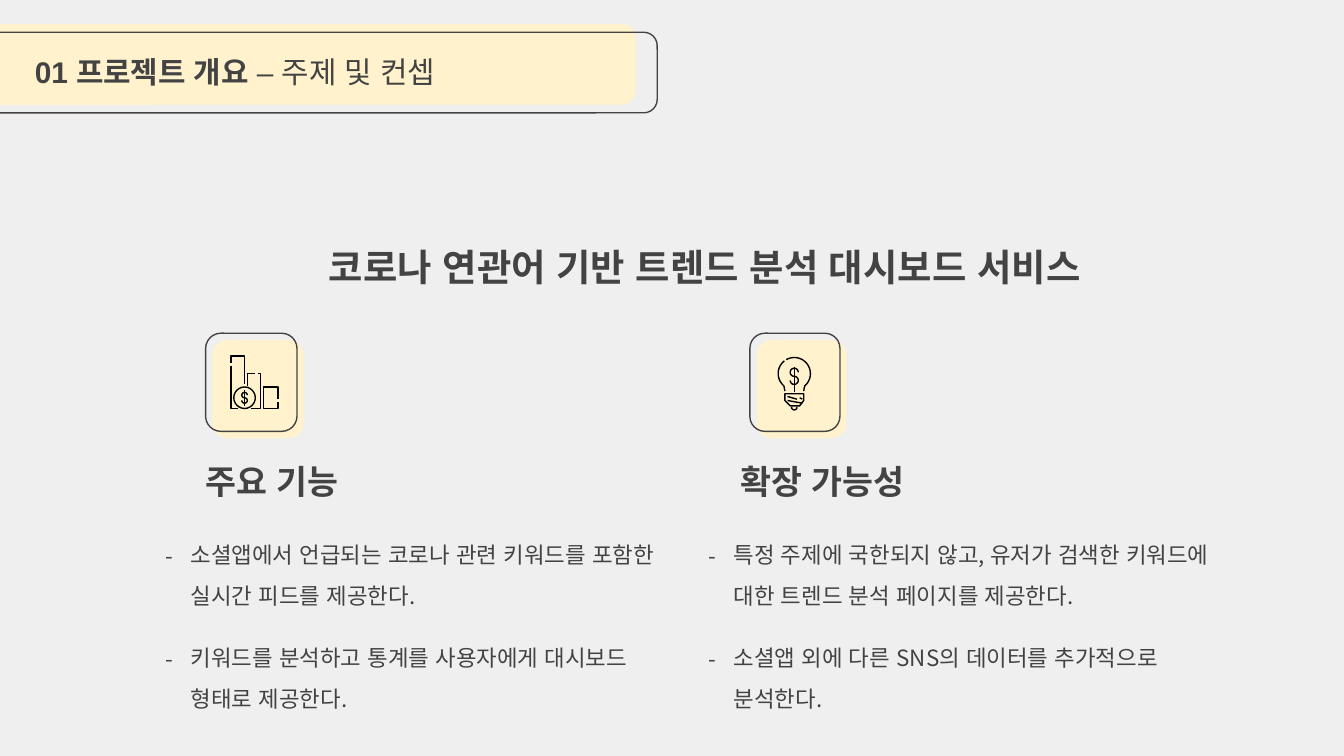
"""Builds the project overview slide: topic and concept."""
from math import cos, radians, sin

from lxml.etree import SubElement
from pptx import Presentation
from pptx.dml.color import RGBColor
from pptx.enum.shapes import MSO_SHAPE
from pptx.enum.text import MSO_ANCHOR, MSO_AUTO_SIZE, PP_ALIGN
from pptx.oxml.ns import qn
from pptx.util import Inches, Pt

INK, CREAM, BLACK = "434343", "FFF2CC", "000000"
SANS = "Noto Sans CJK KR"


def paint(shape, fill=None, line=None):
    shape.shadow.inherit = False
    for part, tone in ((shape.fill, fill), (shape.line.fill, line)):
        if tone:
            part.solid()
            part.fore_color.rgb = RGBColor.from_string(tone)
        else:
            part.background()
    if line:
        shape.line.width = Pt(0.75)


def arc(x, y, wide, high, start, end):
    turns = [radians(start + (end - start) * i / 24) for i in range(25)]
    return [(x + wide * cos(t), y + high * sin(t)) for t in turns]


deck = Presentation()
deck.slide_width = Inches(10)
deck.slide_height = Inches(10) * 9 // 16
slide = deck.slides.add_slide(deck.slide_layouts[5])
shapes = slide.shapes
slide.background.fill.solid()
slide.background.fill.fore_color.rgb = RGBColor.from_string("EFEFEF")

frames = [
    (-0.39, 0.18, 5.12, 0.6, CREAM, None),
    (-0.23, 0.24, 5.12, 0.6, None, INK),
]
for left, wide in ((1.53, 0.68), (5.58, 0.67)):
    frames.append((left + 0.05, 2.53, wide, 0.73, CREAM, None))
    frames.append((left, 2.48, wide, 0.73, None, INK))
for left, top, wide, high, fill, line in frames:
    frame = shapes.add_shape(MSO_SHAPE.ROUNDED_RECTANGLE, Inches(left),
                             Inches(top), Inches(wide), Inches(high))
    paint(frame, fill, line)

title = shapes.title
shapes._spTree.append(title._element)
title.left, title.top = Inches(0.16), Inches(0.35)
title.width, title.height = Inches(5.83), Inches(0.53)
title.text_frame.auto_size = MSO_AUTO_SIZE.NONE
title.text_frame.vertical_anchor = MSO_ANCHOR.TOP
head = title.text_frame.paragraphs[0]
head.alignment = PP_ALIGN.LEFT
for text, bold in (("01 프로젝트 개요 ", True), ("– 주제 및 컨셉", False)):
    run = head.add_run()
    run.text = text
    run.font.name, run.font.size, run.font.bold = "Arial", Pt(16), bold
    run.font.color.rgb = RGBColor.from_string(INK)

feats = ["소셜앱에서 언급되는 코로나 관련 키워드를 포함한 실시간 피드를 제공한다.",
         "키워드를 분석하고 통계를 사용자에게 대시보드 형태로 제공한다."]
plans = ["특정 주제에 국한되지 않고, 유저가 검색한 키워드에 대한 트렌드 분석 페이지를 제공한다.",
         "소셜앱 외에 다른 SNS의 데이터를 추가적으로 분석한다."]
texts = [
    (2.01, 1.72, 6.47, 0.54, ["코로나 연관어 기반 트렌드 분석 대시보드 서비스"], SANS, 20),
    (1.43, 3.41, 2.57, 0.42, ["주요 기능"], "Arial", 18),
    (5.41, 3.41, 2.54, 0.42, ["확장 가능성"], "Arial", 18),
    (1.13, 3.83, 3.88, 1.5, feats, SANS, 12),
    (5.17, 3.83, 4.17, 1.5, plans, SANS, 12),
]
for left, top, wide, high, lines, font, size in texts:
    box = shapes.add_textbox(Inches(left), Inches(top), Inches(wide), Inches(high))
    frame = box.text_frame
    frame.word_wrap = True
    frame.margin_left = frame.margin_right = Inches(0.1)
    frame.margin_top = frame.margin_bottom = Inches(0.1)
    if size == 18:
        frame.vertical_anchor = MSO_ANCHOR.BOTTOM
    frame.text = "\n".join(lines)
    for para in frame.paragraphs:
        if size == 20:
            para.alignment = PP_ALIGN.CENTER
        if size == 12:
            para.line_spacing, para.space_after = 1.5, Pt(12)
            props = para._p.get_or_add_pPr()
            props.set("marL", str(Inches(0.19)))
            props.set("indent", str(-Inches(0.19)))
            tone = SubElement(props, qn("a:buClr"))
            SubElement(tone, qn("a:srgbClr"), val=INK)
            SubElement(props, qn("a:buFont"), typeface=SANS)
            SubElement(props, qn("a:buChar"), char="-")
        para.font.name, para.font.size = font, Pt(size)
        para.font.bold = size > 12
        para.font.color.rgb = RGBColor.from_string(INK)
for props in slide._element.iter(qn("a:rPr"), qn("a:defRPr")):
    SubElement(props, qn("a:ea"), typeface="Arial")

strokes = [
    [(1.72, 2.7), (1.72, 2.65), (1.82, 2.65), (1.82, 2.86)],
    [(1.72, 2.72), (1.72, 3.04), (1.77, 3.04)],
    [(1.84, 2.87), (1.84, 2.78), (1.9, 2.78)],
    [(1.92, 2.78), (1.94, 2.78), (1.94, 3.04), (1.87, 3.04)],
    [(2.07, 2.97), (2.07, 2.88), (1.96, 2.88), (1.96, 3.04), (2.07, 3.04), (2.07, 2.99)],
    arc(1.82, 2.96, 0.08, 0.08, 0, 360),
    [(1.82, 2.9), (1.82, 3.02)],
    arc(5.91, 2.78, 0.12, 0.12, -120, 50) + [(5.98, 2.91)],
    arc(5.91, 2.78, 0.12, 0.12, -128, -230) + [(5.84, 2.91)],
    [(5.84, 2.93), (5.98, 2.93), (5.98, 2.98), (5.95, 3.02), (5.88, 3.02),
     (5.84, 2.98), (5.84, 2.93)],
    arc(5.91, 3.03, 0.02, 0.02, 0, 180),
    [(5.91, 2.73), (5.91, 2.92)],
    [(5.95, 2.96), (5.97, 2.97)],
    [(5.86, 2.95), (5.93, 2.97)],
    [(5.86, 2.98), (5.97, 3)],
]
for x, y, half in ((1.82, 2.96, 0.04), (5.91, 2.8, 0.06)):
    bend = half / 2
    strokes.append(arc(x, y - bend, bend, bend, 0, -270)
                   + arc(x, y + bend, bend, bend, -90, 180))
for stroke in strokes:
    dots = [(Inches(x), Inches(y)) for x, y in stroke]
    pen = shapes.build_freeform(*dots[0])
    pen.add_line_segments(dots[1:], close=False)
    paint(pen.convert_to_shape(), line=BLACK)

deck.save("out.pptx")
